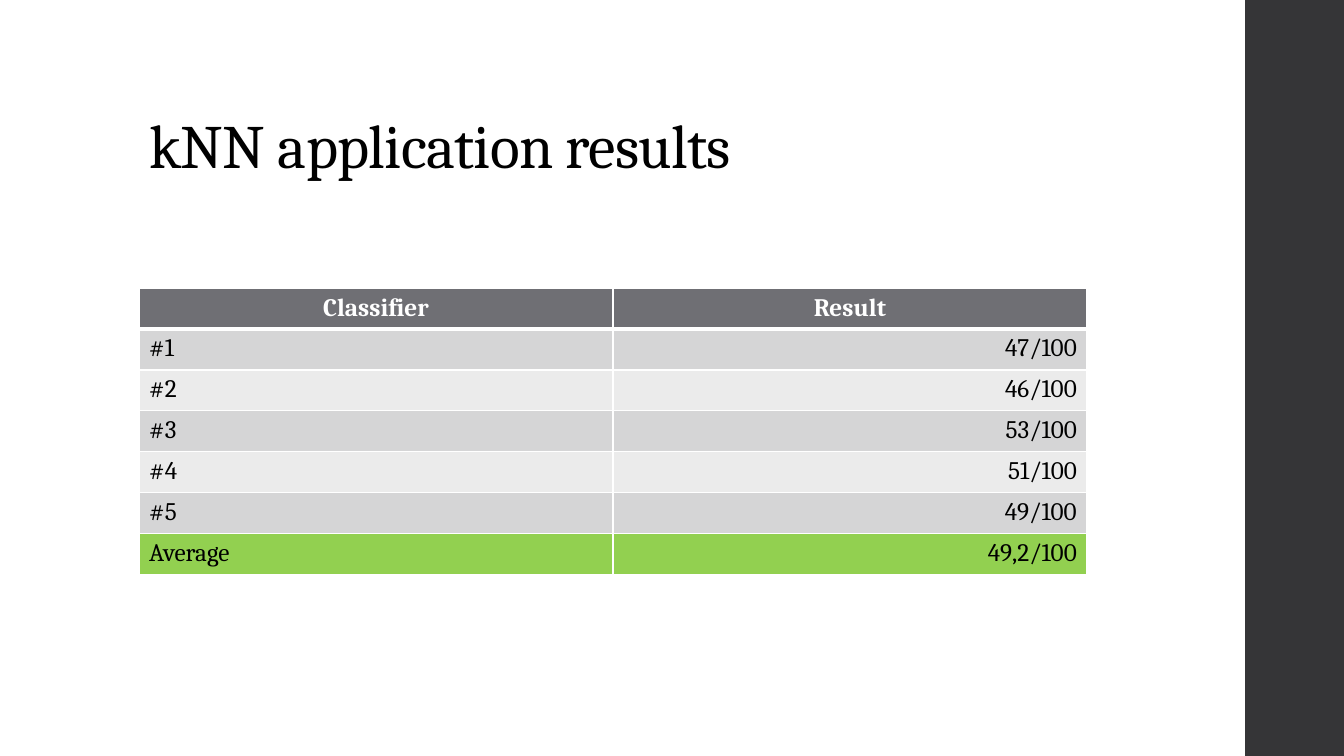
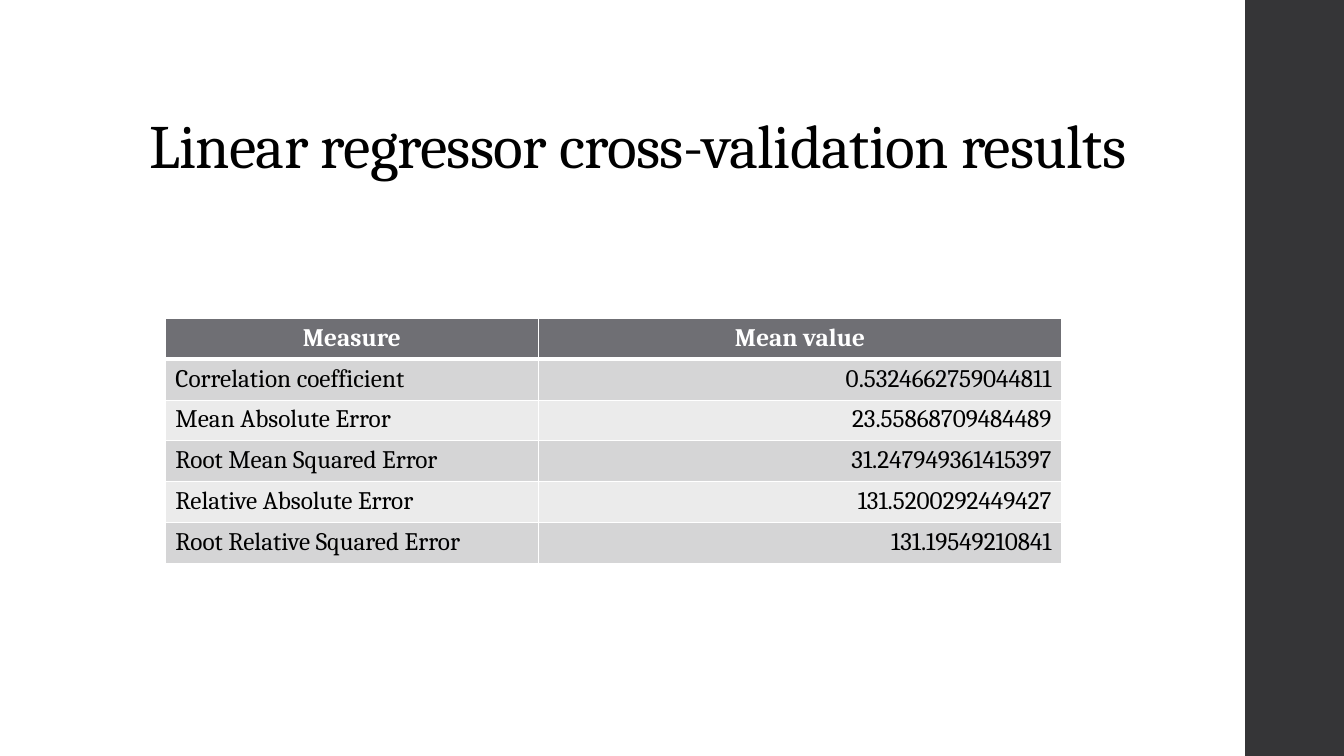
from pptx import Presentation
from pptx.dml.color import RGBColor
from pptx.enum.shapes import MSO_SHAPE
from pptx.enum.text import MSO_ANCHOR, MSO_AUTO_SIZE, PP_ALIGN
from pptx.oxml.ns import qn
from pptx.util import Inches, Pt
from lxml import etree

RECTANGLE = MSO_SHAPE.RECTANGLE
BOTTOM = MSO_ANCHOR.BOTTOM
NO_AUTOFIT = MSO_AUTO_SIZE.NONE
LEFT, CENTER, RIGHT = PP_ALIGN.LEFT, PP_ALIGN.CENTER, PP_ALIGN.RIGHT

FONT = "Cambria"
WHITE = "FFFFFF"
BLACK = "000000"
BAND = "353537"
HEADER = "6F6F74"
STRIPES = ("D5D5D6", "EBEBEB")
HIGHLIGHT = "92D050"
TITLE_ONLY = 5

KNN_ROWS = [
    ("Classifier", "Result"),
    ("#1", "47/100"),
    ("#2", "46/100"),
    ("#3", "53/100"),
    ("#4", "51/100"),
    ("#5", "49/100"),
    ("Average", "49,2/100"),
]
REGRESSOR_ROWS = [
    ("Measure", "Mean value"),
    ("Correlation coefficient", "0.5324662759044811"),
    ("Mean Absolute Error", "23.55868709484489"),
    ("Root Mean Squared Error", "31.247949361415397"),
    ("Relative Absolute Error", "131.5200292449427"),
    ("Root Relative Squared Error", "131.19549210841"),
]


def set_color(target, color):
    target.rgb = RGBColor.from_string(color)


def set_fill(target, color):
    target.fill.solid()
    set_color(target.fill.fore_color, color)


def format_text(paragraph, size, color, bold=False):
    for span in paragraph.runs:
        span.font.name = FONT
        span.font.size = Pt(size)
        span.font.bold = bold
        set_color(span.font.color, color)


def add_band(slide):
    band = slide.shapes.add_shape(
        RECTANGLE, Inches(12.35), 0, Inches(1), Inches(7.5))
    band.shadow.inherit = False
    set_fill(band, BAND)
    band.line.fill.background()


def set_title(slide, text):
    title = slide.shapes.title
    title.left, title.top = Inches(1.38), Inches(0.4)
    title.width, title.height = Inches(10.6), Inches(1.45)
    frame = title.text_frame
    frame.text = text
    frame.word_wrap = True
    frame.auto_size = NO_AUTOFIT
    frame.vertical_anchor = BOTTOM
    paragraph = frame.paragraphs[0]
    paragraph.alignment = LEFT
    paragraph.line_spacing = 0.9
    format_text(paragraph, 44, BLACK)
    for span in paragraph.runs:
        span.font._element.set("spc", "-50")


def set_borders(cell, top, bottom):
    properties = cell._tc.get_or_add_tcPr()
    for side, width in (("L", 1), ("R", 1), ("T", top), ("B", bottom)):
        line = etree.SubElement(properties, qn(f"a:ln{side}"), w=str(Pt(width)))
        fill = etree.SubElement(line, qn("a:solidFill"))
        etree.SubElement(fill, qn("a:srgbClr"), val=WHITE)


def format_cell(cell, text, row, column, fill):
    is_header = row == 0
    set_borders(cell, 3 if row == 1 else 1, 3 if is_header else 1)
    set_fill(cell, fill)
    cell.text_frame.text = text
    paragraph = cell.text_frame.paragraphs[0]
    paragraph.alignment = CENTER if is_header else (LEFT, RIGHT)[column]
    format_text(paragraph, 18, WHITE if is_header else BLACK, is_header)


def add_results_table(slide, rows, left, top, widths, height, highlight_last):
    frame = slide.shapes.add_table(
        len(rows), len(widths), Inches(left), Inches(top),
        Inches(sum(widths)), Inches(height))
    table = frame.table
    for column, width in zip(table.columns, widths):
        column.width = Inches(width)
    fills = [HEADER] + [STRIPES[i % 2] for i in range(len(rows) - 1)]
    if highlight_last:
        fills[-1] = HIGHLIGHT
    for row, (texts, fill) in enumerate(zip(rows, fills)):
        table.rows[row].height = Inches(height / len(rows))
        for column, text in enumerate(texts):
            format_cell(table.cell(row, column), text, row, column, fill)


def add_results_slide(deck, title, rows, left, top, widths, height,
                      highlight_last=False):
    slide = deck.slides.add_slide(deck.slide_layouts[TITLE_ONLY])
    add_band(slide)
    set_title(slide, title)
    add_results_table(slide, rows, left, top, widths, height, highlight_last)


def main():
    deck = Presentation()
    deck.slide_width, deck.slide_height = Inches(13.33), Inches(7.5)
    add_results_slide(deck, "kNN application results", KNN_ROWS,
                      1.38, 2.86, (4.7, 4.7), 2.84, highlight_last=True)
    add_results_slide(deck, "Linear regressor cross-validation results",
                      REGRESSOR_ROWS, 1.64, 3.16, (3.7, 5.19), 2.43)
    deck.save("out.pptx")


if __name__ == "__main__":
    main()
